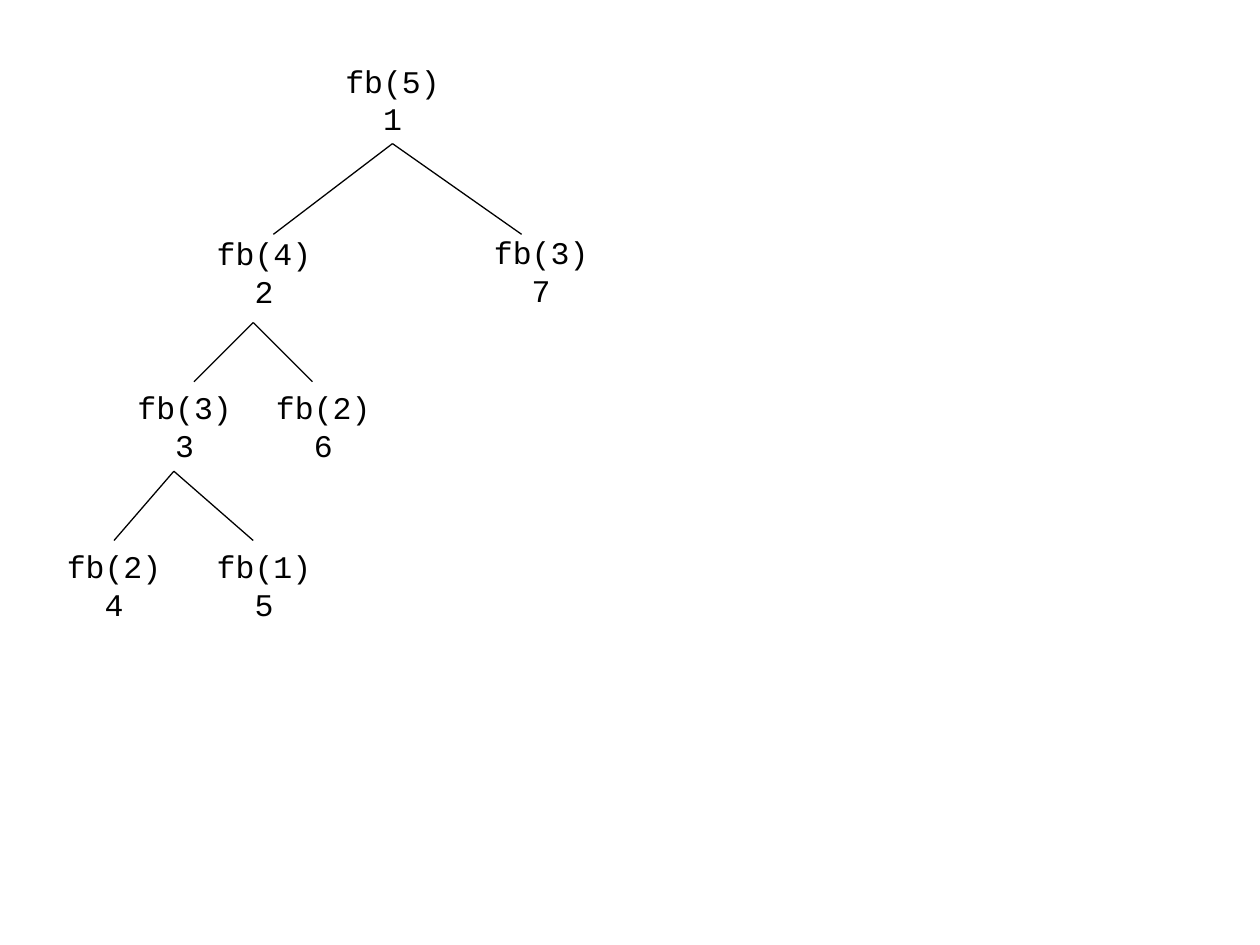
"""Draw the call tree of fb(5), each call numbered in the order it is made."""
from lxml import etree
from pptx import Presentation
from pptx.dml.color import RGBColor
from pptx.enum.shapes import MSO_CONNECTOR
from pptx.enum.text import MSO_AUTO_SIZE, PP_ALIGN
from pptx.oxml.ns import qn
from pptx.util import Inches, Pt

STRAIGHT = MSO_CONNECTOR.STRAIGHT
FIT_TEXT = MSO_AUTO_SIZE.SHAPE_TO_FIT_TEXT
CENTER = PP_ALIGN.CENTER
TOP, BOTTOM = 0, 2

COLORS = {"ink": "000000"}
CALL_FONT = {"name": "Courier New", "size": Pt(18)}
CALL_FRAME = {"word_wrap": False, "auto_size": FIT_TEXT}
CALL_WIDTH, CALL_HEIGHT = 0.95, 0.7

# order of call: (argument, left, top)
CALLS = {
    1: (5, 2.64, 0.44),
    2: (4, 1.62, 1.81),
    7: (3, 3.82, 1.8),
    3: (3, 0.99, 3.03),
    6: (2, 2.09, 3.03),
    4: (2, 0.43, 4.29),
    5: (1, 1.62, 4.29),
}

# fork point, then the ends of its two branches
FORKS = [
    ((3.11, 1.15), (2.17, 1.86), (4.14, 1.86)),
    ((2.01, 2.56), (1.54, 3.03), (2.48, 3.03)),
    ((1.38, 3.74), (0.91, 4.29), (2.01, 4.29)),
]


def set_attributes(target, values):
    """Set every attribute named in a dict of format values."""
    for name, value in values.items():
        setattr(target, name, value)


def add_call(slide, order, argument, left, top):
    """Add one call with its order number beneath it."""
    call = slide.shapes.add_textbox(
        Inches(left), Inches(top), Inches(CALL_WIDTH), Inches(CALL_HEIGHT)
    )
    frame = call.text_frame
    set_attributes(frame, CALL_FRAME)
    frame.text = f"fb({argument})\n{order}"
    for paragraph in frame.paragraphs:
        paragraph.alignment = CENTER
        set_attributes(paragraph.font, CALL_FONT)
        paragraph.font.color.rgb = RGBColor.from_string(COLORS["ink"])
    return call


def add_branch(slide, start, end):
    """Add a thin line without shadow from a fork point to a child call."""
    points = [Inches(value) for value in (*start, *end)]
    branch = slide.shapes.add_connector(STRAIGHT, *points)
    branch.line.width = Pt(0.75)
    branch.line.color.rgb = RGBColor.from_string(COLORS["ink"])
    etree.SubElement(branch._element.spPr, qn("a:effectLst"))
    return branch


def main():
    """Build and save the slide."""
    deck = Presentation()
    deck.slide_width, deck.slide_height = Inches(10), Inches(7.5)
    slide = deck.slides.add_slide(deck.slide_layouts[6])

    calls = {order: add_call(slide, order, *call) for order, call in CALLS.items()}
    branches = [
        [add_branch(slide, fork, end) for end in ends] for fork, *ends in FORKS
    ]
    for branch in branches[0]:
        branch.begin_connect(calls[1], BOTTOM)
    branches[2][0].end_connect(calls[4], TOP)

    deck.save("out.pptx")


if __name__ == "__main__":
    main()
